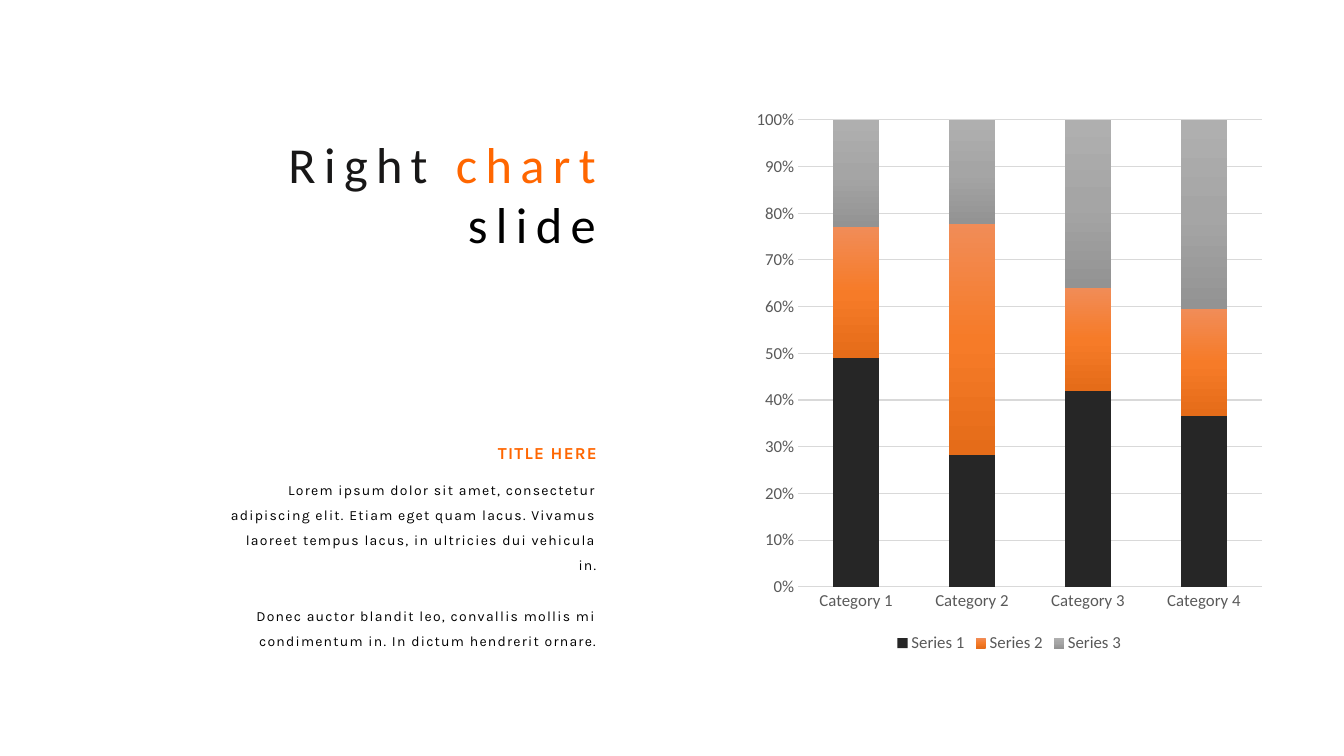
from copy import deepcopy
from pptx import Presentation
from pptx.chart.data import CategoryChartData
from pptx.dml.color import RGBColor
from pptx.enum.chart import XL_CHART_TYPE, XL_LEGEND_POSITION, XL_TICK_MARK
from pptx.enum.text import PP_ALIGN
from pptx.util import Inches, Pt

STACKED = XL_CHART_TYPE.COLUMN_STACKED_100
BOTTOM = XL_LEGEND_POSITION.BOTTOM
NO_TICK = XL_TICK_MARK.NONE
RIGHT = PP_ALIGN.RIGHT

BLACK = RGBColor(0x00, 0x00, 0x00)
INK = RGBColor(0x18, 0x17, 0x17)
ORANGE = RGBColor(0xFF, 0x66, 0x00)
DARK = RGBColor(0x26, 0x26, 0x26)
LABEL = RGBColor(0x59, 0x59, 0x59)
RULE = RGBColor(0xD9, 0xD9, 0xD9)
WARM = [RGBColor(0xF1, 0x8C, 0x57), RGBColor(0xF6, 0x7B, 0x28), RGBColor(0xE5, 0x6C, 0x19)]
GREY = [RGBColor(0xAF, 0xAF, 0xAF), RGBColor(0xA5, 0xA5, 0xA5), RGBColor(0x93, 0x93, 0x93)]

prs = Presentation()
prs.slide_width = Inches(13.33)
prs.slide_height = Inches(7.5)
slide = prs.slides.add_slide(prs.slide_layouts[6])


def set_font(font, size, name, color):
    font.size = Pt(size)
    font.name = name
    font.color.rgb = color


def add_text(left, top, width, height, lines, size, name, track, pitch=1, gap=0, bold=False):
    box = slide.shapes.add_textbox(Inches(left), Inches(top), Inches(width), Inches(height))
    frame = box.text_frame
    frame.word_wrap = True
    for i, line in enumerate(lines):
        para = frame.paragraphs[0] if i == 0 else frame.add_paragraph()
        para.alignment = RIGHT
        para.line_spacing = pitch
        if i and gap:
            para.space_before = Pt(gap)
        for text, color in line:
            run = para.add_run()
            run.text = text
            set_font(run.font, size, name, color)
            run.font.bold = bold
            run.font._element.set("spc", str(int(track * 100)))


data = CategoryChartData()
data.categories = [f"Category {n}" for n in range(1, 5)]
data.add_series("Series 1", (49, 28, 42, 37))
data.add_series("Series 2", (28, 49, 22, 23))
data.add_series("Series 3", (23, 22, 36, 41))
frame = slide.shapes.add_chart(
    STACKED, Inches(7.4), Inches(0.98), Inches(5.22), Inches(5.54), data)
chart = frame.chart
chart.has_title = False
set_font(chart.font, 10, "Calibri", BLACK)

plot = chart.plots[0]
plot.gap_width = 150
plot.overlap = 100
plot.vary_by_categories = False
for series, shades in zip(plot.series, ([DARK], WARM, GREY)):
    fill = series.format.fill
    if len(shades) == 1:
        fill.solid()
        fill.fore_color.rgb = shades[0]
        continue
    fill.gradient()
    fill.gradient_angle = 270
    first = series._element.xpath(".//a:gs")[0]
    first.addnext(deepcopy(first))
    for stop, shade, place in zip(fill.gradient_stops, shades, (0, 0.5, 1)):
        stop.color.rgb = shade
        stop.position = place

cats, vals = chart.category_axis, chart.value_axis
for axis in (cats, vals):
    axis.major_tick_mark = NO_TICK
    axis.minor_tick_mark = NO_TICK
    set_font(axis.tick_labels.font, 12, "Calibri", LABEL)
cats.format.line.color.rgb = RULE
cats.format.line.width = Pt(1)
vals.format.line.fill.background()
vals.has_major_gridlines = True
grid = vals.major_gridlines.format.line
grid.color.rgb = RULE
grid.width = Pt(0.75)
vals.tick_labels.number_format = "0%"
vals.tick_labels.number_format_is_linked = False

chart.has_legend = True
chart.legend.position = BOTTOM
chart.legend.include_in_layout = False
set_font(chart.legend.font, 12, "Calibri", LABEL)

body = [
    "Lorem ipsum dolor sit amet, consectetur adipiscing elit. Etiam eget quam lacus. "
    "Vivamus laoreet tempus lacus, in ultricies dui vehicula in.",
    "Donec auctor blandit leo, convallis mollis mi condimentum in. "
    "In dictum hendrerit ornare.",
]
add_text(2.19, 4.64, 3.82, 1.59, [[(text, BLACK)] for text in body],
         10, "Karla", 0.9, pitch=1.5, gap=18)
add_text(3, 4.24, 3.02, 0.37, [[("TITLE HERE", ORANGE)]],
         12, "Karla", 0.9, pitch=1.5, bold=True)
add_text(1.61, 1.27, 4.4, 1.31, [[("Right ", INK), ("chart", ORANGE)], [("slide", BLACK)]],
         36, "Calibri", 6)

prs.save("out.pptx")
